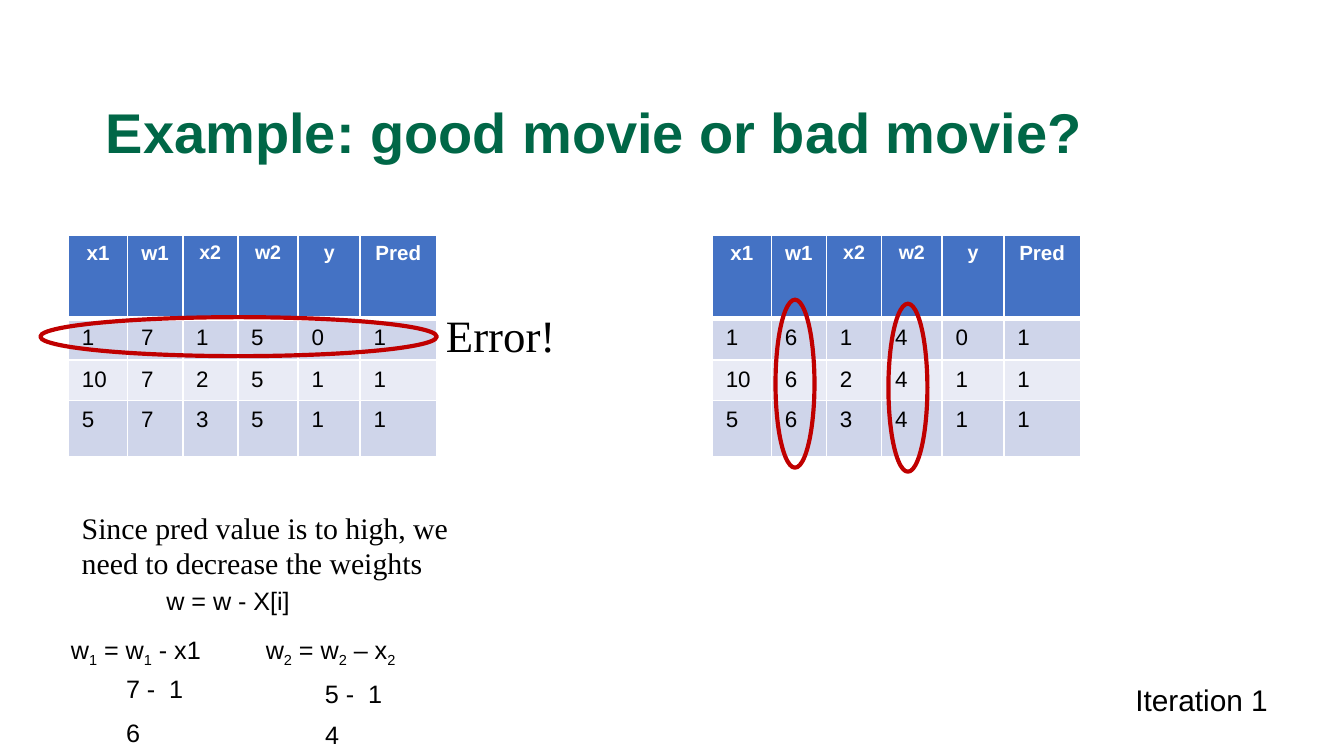
from lxml.etree import SubElement
from pptx import Presentation
from pptx.dml.color import RGBColor
from pptx.enum.shapes import MSO_SHAPE
from pptx.enum.text import MSO_ANCHOR, MSO_AUTO_SIZE, PP_ALIGN
from pptx.oxml.ns import qn
from pptx.util import Inches, Pt

# Content
COLORS = {
    "title": "006747", "text": "000000", "white": "FFFFFF", "header": "4472C4",
    "odd_row": "CFD5EA", "even_row": "E9EBF5", "mark": "C00000",
}
TITLE = "Example: good movie or bad movie?"
HEADERS = ["x1", "w1", "x2", "w2", "y", "Pred"]
HEADER_SIZES = [11, 11, 10.5, 10.5, 10.5, 11]
SAMPLES = [(1, 1, 0, 1), (10, 2, 1, 1), (5, 3, 1, 1)]  # x1, x2, y, Pred
WEIGHTS = [(0.51, 7, 5), (5.3, 6, 4)]  # table left, w1, w2
COLUMN_WIDTHS = [0.44, 0.41, 0.41, 0.45, 0.46, 0.57]
ROW_HEIGHTS = [0.62, 0.31, 0.28, 0.42]
TABLE_TOP = 1.75

ERROR_NOTE = ("Error!", 24, (3.22, 2.24, 1.06, 0.53))
REASON_NOTE = ("Since pred value is to high, we need to decrease the weights",
               16, (0.51, 3.74, 3.07, 0.53))
MARKS = [((0.3, 2.36, 2.95, 0.29), 0),  # frame, rotation
         ((5.29, 2.71, 1.25, 0.29), 90),
         ((6.13, 2.74, 1.25, 0.29), 90)]

# Text between underscores is subscript
FORMULAS = [
    ("Iteration 1", 16, (8.35, 5.02, 1.2, 0.37)),
    ("w = w - X[i]", 13.5, (1.14, 4.31, 1.13, 0.33)),
    ("w_1_ = w_1_ - x1", 13.5, (0.43, 4.67, 1.2, 0.33)),
    ("7 -  1", 13.5, (0.84, 4.96, 0.64, 0.33)),
    ("6", 13.5, (0.84, 5.29, 0.31, 0.33)),
    ("w_2_ = w_2_ – x_2_", 13.5, (1.88, 4.67, 1.24, 0.33)),
    ("5 -  1", 13.5, (2.32, 5, 0.64, 0.33)),
    ("4", 13.5, (2.32, 5.3, 0.31, 0.33)),
]


def rgb(name):
    return RGBColor.from_string(COLORS[name])


def inches(frame):
    return [Inches(value) for value in frame]


def style(run, size, color="text", font="Arial", bold=False):
    run.font.size = Pt(size)
    run.font.name = font
    run.font.bold = bold
    run.font.color.rgb = rgb(color)


def add_borders(cell, widths):
    properties = cell._tc.get_or_add_tcPr()
    for index, (side, width) in enumerate(zip("LRTB", widths)):
        border = SubElement(properties, qn(f"a:ln{side}"), w=str(Pt(width)))
        fill = SubElement(border, qn("a:solidFill"))
        SubElement(fill, qn("a:srgbClr"), val=COLORS["white"])
        properties.insert(index, border)


def fill_cell(cell, text, size, fill, color="text", bold=False):
    cell.fill.solid()
    cell.fill.fore_color.rgb = rgb(fill)
    cell.text_frame.text = str(text)
    style(cell.text_frame.paragraphs[0].runs[0], size, color, bold=bold)


def add_weights_table(left, w1, w2):
    frame = (left, TABLE_TOP, sum(COLUMN_WIDTHS), sum(ROW_HEIGHTS))
    table = slide.shapes.add_table(
        len(ROW_HEIGHTS), len(HEADERS), *inches(frame)).table
    for column, width in zip(table.columns, COLUMN_WIDTHS):
        column.width = Inches(width)
    for row, height in zip(table.rows, ROW_HEIGHTS):
        row.height = Inches(height)
    for col, (header, size) in enumerate(zip(HEADERS, HEADER_SIZES)):
        cell = table.cell(0, col)
        fill_cell(cell, header, size, "header", "white", True)
        cell.text_frame.paragraphs[0].alignment = PP_ALIGN.CENTER
        add_borders(cell, (1, 1, 1, 3))
    for row, (x1, x2, y, pred) in enumerate(SAMPLES, 1):
        band = "odd_row" if row % 2 else "even_row"
        for col, value in enumerate((x1, w1, x2, w2, y, pred)):
            cell = table.cell(row, col)
            fill_cell(cell, value, 12, band)
            add_borders(cell, (1, 1, 3 if row == 1 else 1, 1))


def add_note(text, size, frame):
    note = slide.shapes.add_shape(MSO_SHAPE.RECTANGLE, *inches(frame))
    note.shadow.inherit = False
    note.fill.solid()
    note.fill.fore_color.rgb = rgb("white")
    note.line.fill.background()
    note.text_frame.word_wrap = True
    note.text_frame.vertical_anchor = MSO_ANCHOR.TOP
    note.text_frame.text = text
    paragraph = note.text_frame.paragraphs[0]
    paragraph.alignment = PP_ALIGN.LEFT
    style(paragraph.runs[0], size, font="Times New Roman")


def add_mark(frame, rotation):
    mark = slide.shapes.add_shape(MSO_SHAPE.OVAL, *inches(frame))
    mark.shadow.inherit = False
    mark.rotation = rotation
    mark.fill.background()
    mark.line.color.rgb = rgb("mark")
    mark.line.width = Pt(2.25)


def add_formula(text, size, frame):
    formula = slide.shapes.add_textbox(*inches(frame)).text_frame
    formula.word_wrap = False
    formula.auto_size = MSO_AUTO_SIZE.SHAPE_TO_FIT_TEXT
    for index, part in enumerate(text.split("_")):
        if part:
            run = formula.paragraphs[0].add_run()
            run.text = part
            style(run, size)
            if index % 2:
                run.font._element.set("baseline", "-25000")


# Widescreen slide, 16:9
presentation = Presentation()
presentation.slide_width = Inches(10)
presentation.slide_height = Inches(10 * 9 / 16)
slide = presentation.slides.add_slide(presentation.slide_layouts[6])

# Title
title = slide.shapes.add_textbox(*inches((0.69, 0.63, 8.62, 0.76))).text_frame
title.word_wrap = True
title.vertical_anchor = MSO_ANCHOR.MIDDLE
title.text = TITLE
title.paragraphs[0].line_spacing = 0.9
style(title.paragraphs[0].runs[0], 30, "title", bold=True)

# Weights before and after the update, with the changes circled
add_note(*ERROR_NOTE)
for weights in WEIGHTS:
    add_weights_table(*weights)
for mark_frame, mark_rotation in MARKS:
    add_mark(mark_frame, mark_rotation)

# Reason and update formulas
add_note(*REASON_NOTE)
for formula_entry in FORMULAS:
    add_formula(*formula_entry)

presentation.save("out.pptx")
